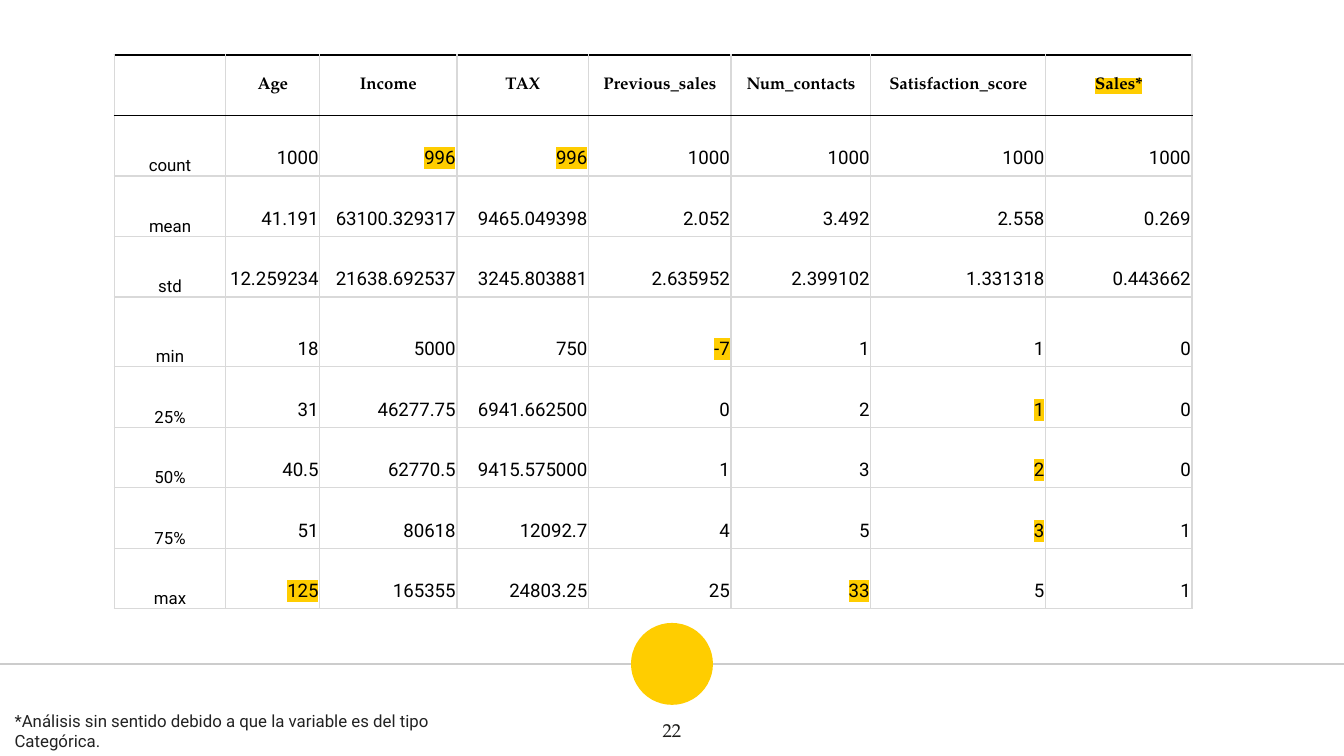
from lxml import etree
from pptx import Presentation
from pptx.dml.color import RGBColor
from pptx.enum import shapes, text
from pptx.oxml.ns import qn
from pptx.util import Inches, Pt

BLACK = RGBColor(0x00, 0x00, 0x00)
INK = RGBColor(0x1D, 0x1D, 0x1B)
NOTE_INK = RGBColor(0x22, 0x22, 0x22)
WHITE = RGBColor(0xFF, 0xFF, 0xFF)
YELLOW = RGBColor(0xFF, 0xCD, 0x00)
RULE_GREY = RGBColor(0xCC, 0xCC, 0xCC)
GRID_GREY = RGBColor(0xD9, 0xD9, 0xD9)
SERIF, SANS = "TeX Gyre Pagella", "Roboto"
CENTER, RIGHT = text.PP_ALIGN.CENTER, text.PP_ALIGN.RIGHT
MIDDLE, BOTTOM = text.MSO_ANCHOR.MIDDLE, text.MSO_ANCHOR.BOTTOM

COLUMNS = ["", "Age", "Income", "TAX", "Previous_sales", "Num_contacts",
           "Satisfaction_score", "Sales*"]
STATS = [
    ["count", "1000", "996", "996", "1000", "1000", "1000", "1000"],
    ["mean", "41.191", "63100.329317", "9465.049398", "2.052", "3.492", "2.558", "0.269"],
    ["std", "12.259234", "21638.692537", "3245.803881", "2.635952", "2.399102",
     "1.331318", "0.443662"],
    ["min", "18", "5000", "750", "-7", "1", "1", "0"],
    ["25%", "31", "46277.75", "6941.662500", "0", "2", "1", "0"],
    ["50%", "40.5", "62770.5", "9415.575000", "1", "3", "2", "0"],
    ["75%", "51", "80618", "12092.7", "4", "5", "3", "1"],
    ["max", "125", "165355", "24803.25", "25", "33", "5", "1"],
]
MARKED = {(0, 7), (1, 2), (1, 3), (4, 4), (5, 6), (6, 6), (7, 6), (8, 1), (8, 5)}
COL_WIDTHS = [0.83, 0.7, 1.02, 0.98, 1.06, 1.04, 1.3, 1.09]
ROW_HEIGHT, MIN_ROW, MIN_ROW_HEIGHT = 0.45, 4, 0.52

HEADER = dict(align=CENTER, anchor=MIDDLE, inset=(0.01, 0.01, 0.01, 0),
              font=dict(name=SERIF, size=Pt(9), bold=True))
LABEL = dict(align=CENTER, anchor=BOTTOM, inset=(0.01, 0.01, 0.01, 0),
             font=dict(name=SANS, size=Pt(9), bold=False))
VALUE = dict(align=RIGHT, anchor=BOTTOM, inset=(0.01, 0.05, 0.01, 0.05),
             font=dict(name=SANS, size=Pt(10), bold=False))


def write(p, words, color, font, highlight=None):
    r = p.add_run()
    r.text = words
    for name, value in font.items():
        setattr(r.font, name, value)
    r.font.color.rgb = color
    if highlight is not None:
        mark = etree.Element(qn("a:highlight"))
        etree.SubElement(mark, qn("a:srgbClr"), val=str(highlight))
        r.font._element.find(qn("a:solidFill")).addnext(mark)


def set_insets(box, inset):
    for side, value in zip(("left", "top", "right", "bottom"), inset):
        setattr(box, f"margin_{side}", Inches(value))


def set_borders(cell, top, bottom):
    """Draw all four cell edges; the sides are always grid grey."""
    tcPr = cell._tc.get_or_add_tcPr()
    edges = {"L": GRID_GREY, "R": GRID_GREY, "T": top, "B": bottom}
    for i, (side, color) in enumerate(edges.items()):
        ln = etree.Element(qn(f"a:ln{side}"), w=str(Pt(0.75)))
        fill = etree.SubElement(ln, qn("a:solidFill"))
        etree.SubElement(fill, qn("a:srgbClr"), val=str(color))
        tcPr.insert(i, ln)


def fill_cell(cell, words, style, marked):
    cell.fill.background()
    cell.vertical_anchor = style["anchor"]
    set_insets(cell, style["inset"])
    p = cell.text_frame.paragraphs[0]
    p.alignment = style["align"]
    if words:
        write(p, words, BLACK, style["font"], YELLOW if marked else None)


def add_stats_table(s, left, top):
    rows = [COLUMNS] + STATS
    heights = [MIN_ROW_HEIGHT if i == MIN_ROW else ROW_HEIGHT for i in range(len(rows))]
    table = s.shapes.add_table(len(rows), len(COLUMNS), Inches(left), Inches(top),
                               Inches(sum(COL_WIDTHS)), Inches(sum(heights))).table
    table.first_row = table.horz_banding = False
    for column, width in zip(table.columns, COL_WIDTHS):
        column.width = Inches(width)
    for i, row in enumerate(rows):
        table.rows[i].height = Inches(heights[i])
        for j, words in enumerate(row):
            cell = table.cell(i, j)
            style = HEADER if i == 0 else LABEL if j == 0 else VALUE
            fill_cell(cell, words, style, (i, j) in MARKED)
            set_borders(cell, BLACK if i < 2 else GRID_GREY, BLACK if i == 0 else GRID_GREY)


def add_text(s, left, top, width, height, words, color, font, align=None, highlight=None):
    tf = s.shapes.add_textbox(*map(Inches, (left, top, width, height))).text_frame
    tf.word_wrap = True
    tf.vertical_anchor = MIDDLE
    set_insets(tf, [0.1] * 4)
    tf.paragraphs[0].alignment = align
    write(tf.paragraphs[0], words, color, font, highlight)


def add_footer_rule(s, width, y, diameter):
    """Draw a full-width rule with a disc centred on it."""
    rule = s.shapes.add_connector(shapes.MSO_CONNECTOR.STRAIGHT, 0, Inches(y),
                                  Inches(width), Inches(y))
    rule.line.color.rgb = RULE_GREY
    rule.line.width = Pt(0.75)
    etree.SubElement(rule._element.spPr, qn("a:effectLst"))
    disc = s.shapes.add_shape(shapes.MSO_SHAPE.OVAL, Inches((width - diameter) / 2),
                              Inches(y - diameter / 2), Inches(diameter), Inches(diameter))
    disc.shadow.inherit = False
    disc.fill.solid()
    disc.fill.fore_color.rgb = YELLOW
    disc.line.fill.background()


def main():
    prs = Presentation()
    prs.slide_width = Inches(10)
    prs.slide_height = prs.slide_width * 9 // 16
    s = prs.slides.add_slide(prs.slide_layouts[6])
    add_footer_rule(s, 10, 4.94, 0.61)
    add_text(s, 4.7, 5.24, 0.6, 0.38, "22", INK, dict(name=SERIF, size=Pt(10)), CENTER)
    add_stats_table(s, 0.85, 0.41)
    add_text(s, 0.01, 5.25, 3.89, 0.37,
             "*Análisis sin sentido debido a que la variable es del tipo Categórica.",
             NOTE_INK, dict(name=SANS, size=Pt(9)), highlight=WHITE)
    prs.save("out.pptx")


if __name__ == "__main__":
    main()
